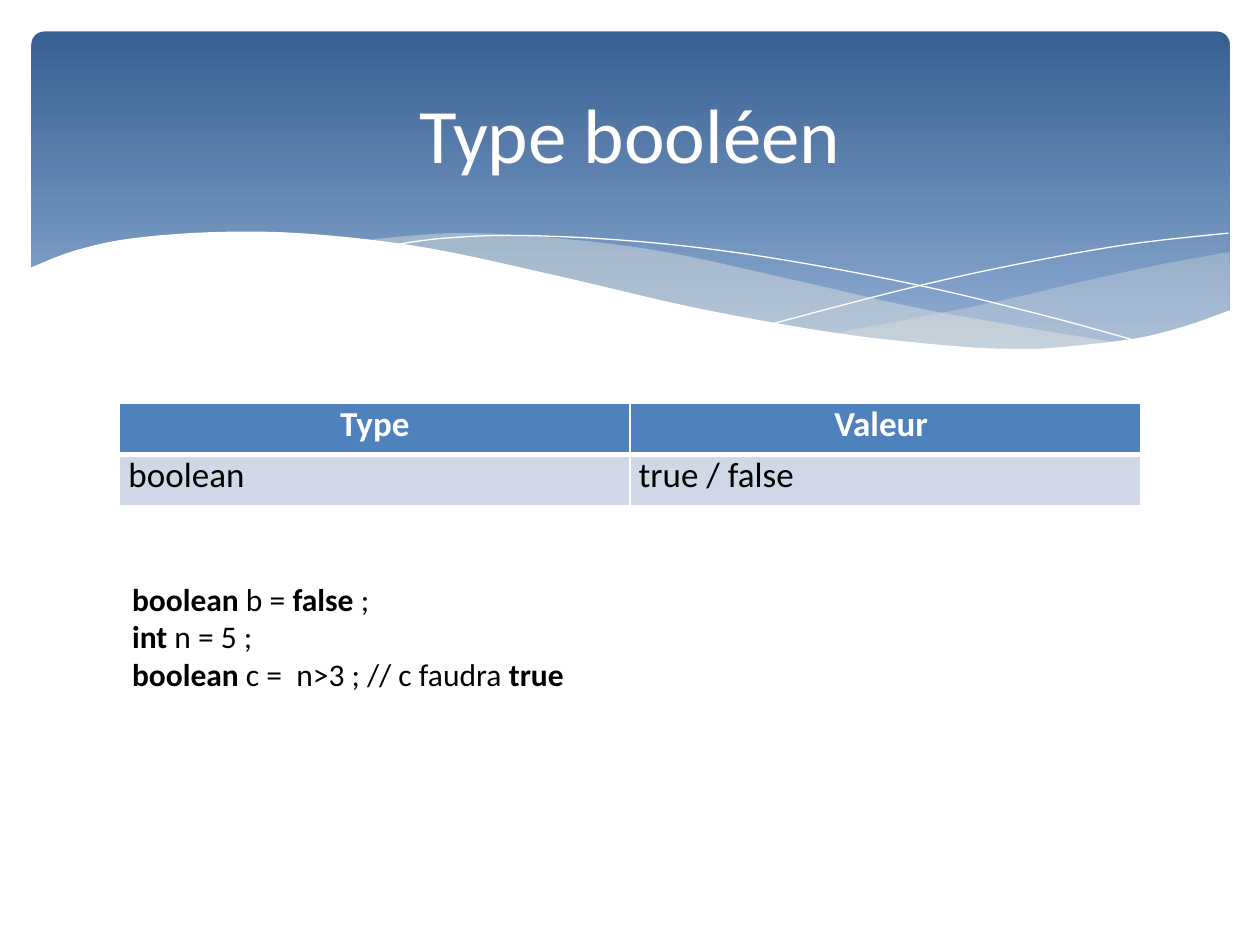
from lxml import etree
from pptx import Presentation
from pptx import util as u
from pptx.dml.color import RGBColor
from pptx.enum import shapes, text
from pptx.oxml import ns

Pt = u.Pt
FONT = "Calibri"
COLORS = {
    "white": "FFFFFF", "black": "000000", "banner_top": "376092",
    "banner_bottom": "95B3D7", "tint": "EEECE1", "header": "4F81BD", "body": "D0D8E8",
}

TITLE = "Type booléen"
TABLE_ROWS = [("Type", "Valeur "), ("boolean", "true / false")]
# Each line of code is a list of (words, bold) runs
CODE = [
    [("boolean", True), (" b = ", False), ("false ", True), (";", False)],
    [("int", True), (" n = 5 ;", False)],
    [("boolean", True), (" c =  n>3 ; // c faudra ", False), ("true", True)],
]

# Knots in points; each outline is a list of smooth curves joined end to end
TINTS = [
    (29, [
        [(702.7, 144), (663.1, 151.2), (619.9, 160.6), (560.9, 174.2), (475.9, 190.8)],
        [(475.9, 190.8), (517.7, 195.5), (553.7, 199.2), (586.1, 200.2), (621.4, 198),
         (657.4, 192.2), (702.7, 177.8)],
    ]),
    (40, [
        [(205.9, 137.5), (259.9, 133.2), (318.2, 136.1), (380.2, 144), (452.9, 159.8),
         (533.5, 177.8), (643, 196.6)],
        [(643, 196.6), (603.4, 200.2), (565.2, 200.2), (510.5, 195.8), (432.7, 183.6),
         (323.3, 159.8), (260.6, 146.2), (205.9, 137.5)],
    ]),
]
STRANDS = [
    [(222.5, 140.4), (254.2, 136.1), (299.5, 134.6), (367.2, 138.2), (437.8, 146.9),
     (523.4, 162.7), (598.3, 180.7), (653, 195.8)],
    [(441.4, 185), (518.4, 164.9), (580.3, 151.2), (644.4, 139.7), (702, 133.2)],
]
WAVE = [
    [(16.6, 153.4), (42.5, 143.3), (76.3, 136.1), (127.4, 132.5), (180, 133.9),
     (244.8, 141.8), (321.8, 158.4), (399.6, 176.4), (481, 190.8), (547.9, 198),
     (582.5, 199.4), (602.6, 198.7), (647.3, 193.7), (676.8, 186.5), (703.4, 177.1)],
    [(703.4, 236.9), (16.6, 236.9)],
]


def color(name):
    return RGBColor.from_string(COLORS[name])


def smooth(knots, steps=6):
    """Points of a Catmull-Rom curve through the knots."""
    padded = [knots[0], *knots, knots[-1]]
    points = [knots[0]]
    for a, b, c, d in zip(padded, padded[1:], padded[2:], padded[3:]):
        for step in range(1, steps + 1):
            t = step / steps
            points.append(tuple(
                (2 * q + (r - p) * t + (2 * p - 5 * q + 4 * r - s) * t ** 2
                 + (3 * q - p - 3 * r + s) * t ** 3) / 2
                for p, q, r, s in zip(a, b, c, d)))
    return points


def add_curve(slide, curves, close):
    points = [(Pt(x), Pt(y)) for knots in curves for x, y in smooth(knots)]
    builder = slide.shapes.build_freeform(*points[0])
    builder.add_line_segments(points[1:], close=close)
    shape = builder.convert_to_shape()
    shape.shadow.inherit = False
    return shape


def add_area(slide, curves, color_name, opacity=100):
    shape = add_curve(slide, curves, True)
    shape.fill.solid()
    shape.fill.fore_color.rgb = color(color_name)
    shape.line.fill.background()
    if opacity < 100:
        fill_color = shape.fill._xPr.find(".//" + ns.qn("a:srgbClr"))
        etree.SubElement(fill_color, ns.qn("a:alpha"), val=str(opacity * 1000))


def add_strand(slide, knots):
    shape = add_curve(slide, [knots], False)
    shape.fill.background()
    shape.line.color.rgb = color("white")
    shape.line.width = Pt(0)


def add_banner(slide):
    banner = slide.shapes.add_shape(
        shapes.MSO_SHAPE.ROUNDED_RECTANGLE, Pt(18), Pt(18), Pt(684.7), Pt(212.4))
    banner.adjustments[0] = 0.034
    banner.shadow.inherit = False
    banner.line.fill.background()
    banner.fill.gradient()
    banner.fill.gradient_angle = 270
    stops = zip(banner.fill.gradient_stops, ("banner_top", "banner_bottom"), (0, 0.9))
    for stop, name, position in stops:
        stop.color.rgb = color(name)
        stop.position = position
    for opacity, curves in TINTS:
        add_area(slide, curves, "tint", opacity)
    for knots in STRANDS:
        add_strand(slide, knots)
    add_area(slide, WAVE, "white")


def style_run(run, size, color_name, bold=False):
    run.font.name = FONT
    run.font.size = Pt(size)
    run.font.bold = bold
    run.font.color.rgb = color(color_name)


def set_borders(cell, widths):
    properties = cell._tc.get_or_add_tcPr()
    for index, (side, width) in enumerate(zip("LRTB", widths)):
        line = etree.Element(ns.qn("a:ln" + side), w=str(Pt(width)))
        fill = etree.SubElement(line, ns.qn("a:solidFill"))
        etree.SubElement(fill, ns.qn("a:srgbClr"), val=COLORS["white"])
        properties.insert(index, line)


def add_type_table(slide):
    table = slide.shapes.add_table(
        len(TABLE_ROWS), 2, Pt(68.4), Pt(230.4), Pt(583.2), Pt(58.4)).table
    for row, values in enumerate(TABLE_ROWS):
        header = row == 0
        for column, value in enumerate(values):
            cell = table.cell(row, column)
            cell.margin_left = cell.margin_right = Pt(5)
            cell.margin_top = cell.margin_bottom = 0
            cell.fill.solid()
            cell.fill.fore_color.rgb = color("header" if header else "body")
            set_borders(cell, (1, 1, 1, 3) if header else (1, 1, 3, 1))
            cell.text_frame.text = value
            paragraph = cell.text_frame.paragraphs[0]
            if header:
                paragraph.alignment = text.PP_ALIGN.CENTER
            style_run(paragraph.runs[0], 20, "white" if header else "black", header)


def add_text_box(slide, left, top, width, height):
    frame = slide.shapes.add_textbox(Pt(left), Pt(top), Pt(width), Pt(height)).text_frame
    frame.word_wrap = True
    return frame


def add_title(slide):
    frame = add_text_box(slide, 36, 26.6, 648, 98.6)
    frame.vertical_anchor = text.MSO_ANCHOR.MIDDLE
    frame.text = TITLE
    paragraph = frame.paragraphs[0]
    paragraph.alignment = text.PP_ALIGN.CENTER
    style_run(paragraph.runs[0], 44, "white")


def add_code(slide):
    frame = add_text_box(slide, 68.4, 327.6, 419, 94.3)
    for index, runs in enumerate(CODE):
        paragraph = frame.add_paragraph() if index else frame.paragraphs[0]
        for words, bold in runs:
            run = paragraph.add_run()
            run.text = words
            style_run(run, 18, "black", bold)


def main():
    presentation = Presentation()
    presentation.slide_width, presentation.slide_height = Pt(720), Pt(540)
    slide = presentation.slides.add_slide(presentation.slide_layouts[6])
    add_banner(slide)
    add_type_table(slide)
    add_title(slide)
    add_code(slide)
    presentation.save("out.pptx")


if __name__ == "__main__":
    main()
